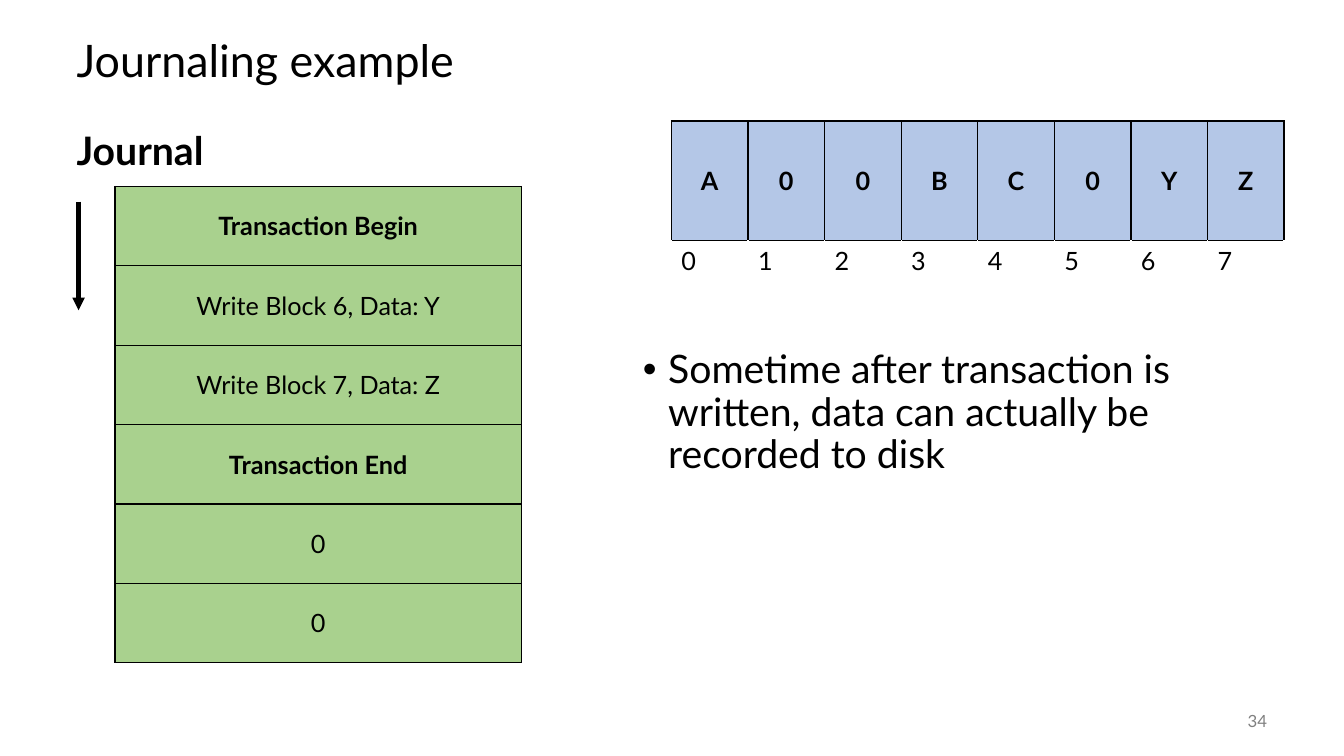
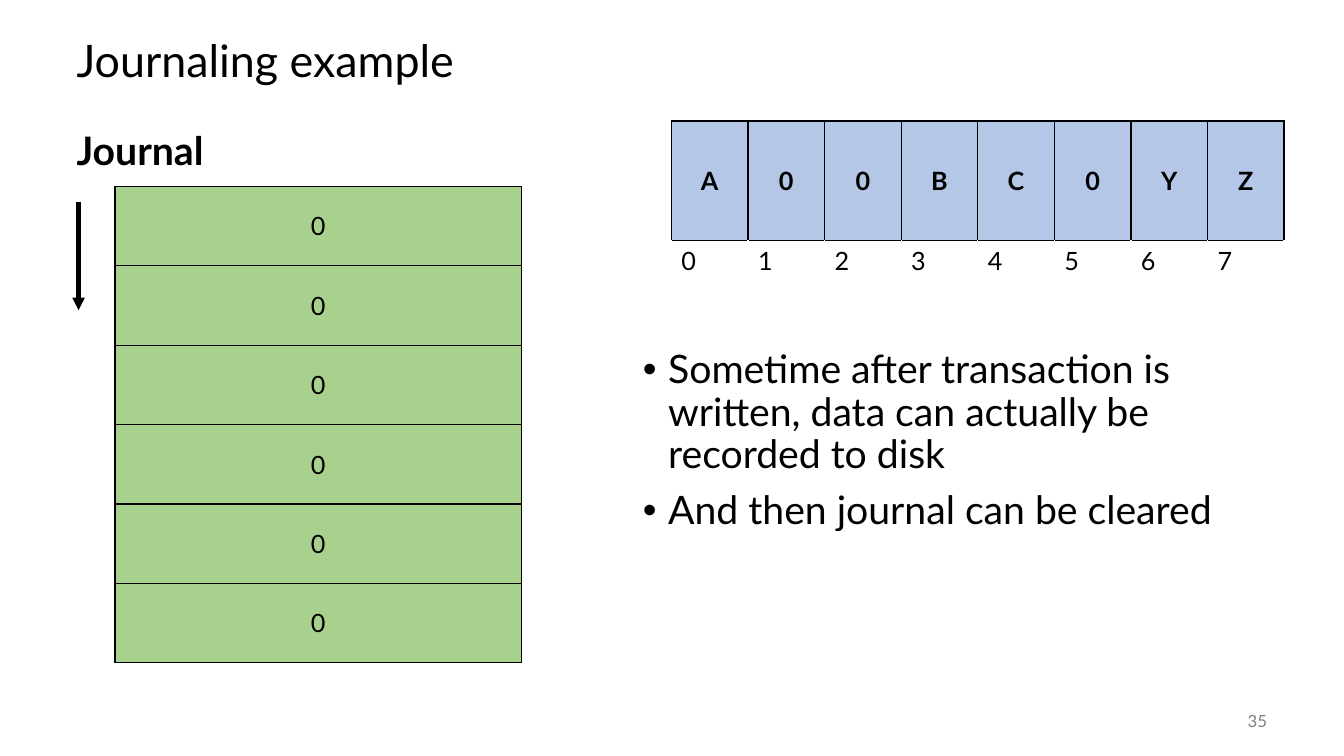
from dataclasses import dataclass

from lxml import etree
from pptx import Presentation
from pptx.dml.color import RGBColor
from pptx.enum.shapes import MSO_CONNECTOR
from pptx.enum.text import MSO_ANCHOR, PP_ALIGN
from pptx.oxml.ns import qn
from pptx.util import Cm, Pt

LEFT, CENTER, RIGHT = PP_ALIGN.LEFT, PP_ALIGN.CENTER, PP_ALIGN.RIGHT
TOP, MIDDLE = MSO_ANCHOR.TOP, MSO_ANCHOR.MIDDLE
STRAIGHT = MSO_CONNECTOR.STRAIGHT


@dataclass(frozen=True)
class Theme:
    font: str = "Lato"
    ink: str = "000000"
    paper: str = "FFFFFF"
    muted: str = "808080"
    disk: str = "B4C7E7"
    journal: str = "A9D18E"
    title_size: int = 32
    body_size: int = 28
    cell_size: int = 18
    number_size: int = 12


THEME = Theme()
BULLET_INDENT = Cm(0.64)


def write(p, text, size, color=THEME.ink, bold=False, align=LEFT,
          spacing=None, before=None, bullet=False):
    """Fill one paragraph with a formatted run."""
    if bullet:
        pPr = p._p.get_or_add_pPr()
        pPr.set("marL", str(BULLET_INDENT))
        pPr.set("indent", str(-BULLET_INDENT))
        etree.SubElement(pPr, qn("a:buFont"), typeface="Arial")
        etree.SubElement(pPr, qn("a:buChar"), char="•")
    p.alignment = align
    if spacing:
        p.line_spacing = spacing
    if before:
        p.space_before = Pt(before)
    r = p.add_run()
    r.text = text
    r.font.name, r.font.size, r.font.bold = THEME.font, Pt(size), bold
    r.font.color.rgb = RGBColor.from_string(color)


def set_borders(cell, left, right, top, bottom):
    tcPr = cell._tc.get_or_add_tcPr()
    for side, color in zip("LRTB", (left, right, top, bottom)):
        ln = etree.SubElement(tcPr, qn(f"a:ln{side}"), w=str(Pt(1)))
        fill = etree.SubElement(ln, qn("a:solidFill"))
        etree.SubElement(fill, qn("a:srgbClr"), val=color)


class Deck:
    def __init__(self):
        self.prs = Presentation()
        self.prs.slide_width, self.prs.slide_height = Cm(33.87), Cm(19.05)
        self.s = None

    def slide(self, title, number):
        self.s = self.prs.slides.add_slide(self.prs.slide_layouts[6])
        self.text(1.68, 0.64, 30.48, 1.9, [title], anchor=MIDDLE,
                  size=THEME.title_size, spacing=0.9)
        self.text(29.64, 17.65, 2.54, 1.02, [str(number)], anchor=MIDDLE,
                  size=THEME.number_size, color=THEME.muted, align=RIGHT)

    def text(self, x, y, w, h, lines, anchor=TOP, **fmt):
        tf = self.s.shapes.add_textbox(Cm(x), Cm(y), Cm(w), Cm(h)).text_frame
        tf.word_wrap, tf.vertical_anchor = True, anchor
        for i, line in enumerate(lines):
            p = tf.add_paragraph() if i else tf.paragraphs[0]
            write(p, line, before=10 if i else None, **fmt)

    def table(self, x, y, col_width, row_heights):
        """Add a table with equal columns and no banding."""

        def build(columns):
            frame = self.s.shapes.add_table(
                len(row_heights), columns, Cm(x), Cm(y),
                Cm(col_width * columns), Cm(sum(row_heights)))
            table = frame.table
            table.first_row = table.horz_banding = False
            for column in table.columns:
                column.width = Cm(col_width)
            for row, height in zip(table.rows, row_heights):
                row.height = Cm(height)
            return table

        return build

    def cell(self, cell, text, fill, bold=False):
        set_borders(cell, *[THEME.ink] * 4)
        cell.fill.solid()
        cell.fill.fore_color.rgb = RGBColor.from_string(fill)
        cell.vertical_anchor = MIDDLE
        write(cell.text_frame.paragraphs[0], text, THEME.cell_size,
              bold=bold, align=CENTER)

    def disk(self, blocks):
        """Draw the disk blocks with their numbers below."""
        table = self.table(16.92, 3.05, 1.93, [3.02, 1.35])(len(blocks))
        for i, block in enumerate(blocks):
            self.cell(table.cell(0, i), block, THEME.disk, bold=True)
            label = table.cell(1, i)
            set_borders(label, THEME.paper, THEME.paper, THEME.ink, THEME.paper)
            label.fill.background()
            write(label.text_frame.paragraphs[0], str(i), THEME.cell_size)

    def journal(self, entries):
        self.text(1.68, 3.18, 14.6, 13.97, ["Journal"],
                  size=THEME.body_size, bold=True, spacing=0.9)
        table = self.table(2.9, 4.7, 10.24, [2] * len(entries))(1)
        for i, entry in enumerate(entries):
            self.cell(table.cell(i, 0), entry, THEME.journal,
                      bold=entry.startswith("Transaction"))
        self.arrow(1.98, 5.08, 1.98, 7.82)

    def arrow(self, x1, y1, x2, y2):
        line = self.s.shapes.add_connector(STRAIGHT, Cm(x1), Cm(y1), Cm(x2), Cm(y2))
        line.line.width = Pt(3)
        line.line.color.rgb = RGBColor.from_string(THEME.ink)
        etree.SubElement(line.line._get_or_add_ln(), qn("a:tailEnd"), type="triangle")
        etree.SubElement(line._element.spPr, qn("a:effectLst"))

    def bullets(self, lines):
        self.text(15.95, 8.69, 16.23, 8.46, lines, size=THEME.body_size,
                  spacing=0.9, bullet=True)


def main():
    transaction = ["Transaction Begin", "Write Block 6, Data: Y",
                   "Write Block 7, Data: Z", "Transaction End", "0", "0"]
    recorded = ("Sometime after transaction is written, "
                "data can actually be recorded to disk")
    steps = [
        (transaction, [recorded]),
        (["0"] * len(transaction), [recorded, "And then journal can be cleared"]),
    ]
    deck = Deck()
    for number, (entries, notes) in enumerate(steps, start=34):
        deck.slide("Journaling example", number)
        deck.bullets(notes)
        deck.disk("A00BC0YZ")
        deck.journal(entries)
    deck.prs.save("out.pptx")


if __name__ == "__main__":
    main()
